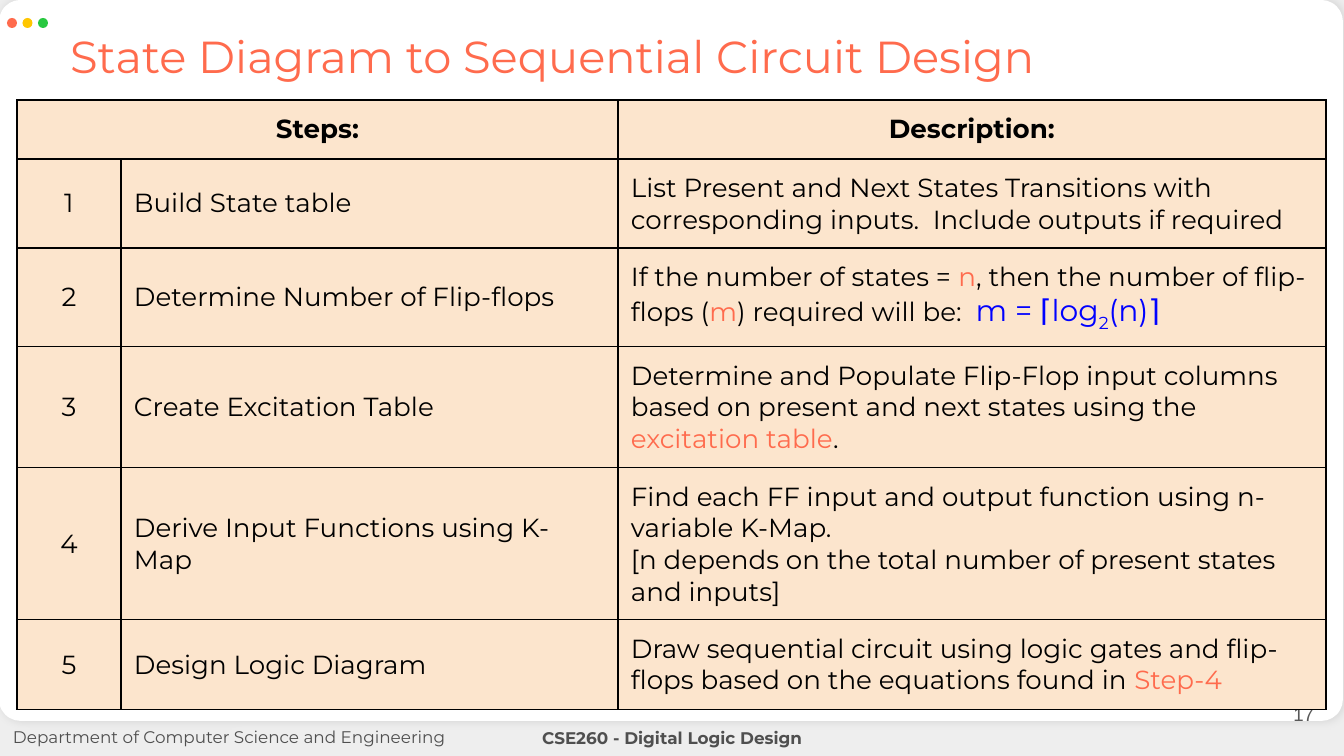
from lxml import etree
from pptx import Presentation
from pptx.dml.color import RGBColor
from pptx.enum.shapes import MSO_SHAPE
from pptx.enum.text import MSO_ANCHOR, PP_ALIGN
from pptx.oxml import parse_xml
from pptx.oxml.ns import nsdecls, qn
from pptx.util import Emu, Pt

ROUND, OVAL = MSO_SHAPE.ROUNDED_RECTANGLE, MSO_SHAPE.OVAL
TOP, MIDDLE = MSO_ANCHOR.TOP, MSO_ANCHOR.MIDDLE
LEFT, CENTER, RIGHT = PP_ALIGN.LEFT, PP_ALIGN.CENTER, PP_ALIGN.RIGHT
SCALE = 914400 / 134.4
PAD = 13
FONT = "Montserrat"
HEX = {
    "back": "EEEEEE", "card": "FFFFFF", "coral": "FF6B4D", "gold": "FFC600",
    "green": "28C840", "gray": "4F4F4F", "page": "595959", "cell": "FCE5CD",
    "black": "000000", "blue": "0000FF",
}
COLS = [104, 497, 708]
ROWS = [59, 89, 99, 121, 152, 90]
STEPS = [
    ("Build State table", [
        ("List Present and Next States Transitions with corresponding inputs.  "
         "Include outputs if required", {})]),
    ("Determine Number of Flip-flops", [
        ("If the number of states = ", {}),
        ("n", {"color": "coral"}),
        (", then the number of flip-flops (", {}),
        ("m", {"color": "coral"}),
        (") required will be:  ", {}),
        ("m = ⌈log", {"color": "blue", "size": 16}),
        ("2", {"color": "blue", "size": 16, "base": -25}),
        ("(n)⌉", {"color": "blue", "size": 16})]),
    ("Create Excitation Table", [
        ("Determine and Populate Flip-Flop input columns based on present and "
         "next states using the ", {}),
        ("excitation table", {"color": "coral"}),
        (".", {})]),
    ("Derive Input Functions using K-Map", [
        ("Find each FF input and output function using n-variable K-Map. \n"
         "[n depends on the total number of present states and inputs]", {})]),
    ("Design Logic Diagram", [
        ("Draw sequential circuit using logic gates and flip-flops based on "
         "the equations found in ", {}),
        ("Step-4", {"color": "coral"})]),
]


def px(num):
    """Turn pixels into EMU."""
    return Emu(round(num * SCALE))


def rgb(name):
    """Look up a colour by name."""
    return RGBColor.from_string(HEX[name])


def add_run(para, text, size=14, color="black", bold=False, font=FONT, base=0):
    """Add styled text to a paragraph, breaking lines at newlines."""
    for i, line in enumerate(text.split("\n")):
        if i:
            para.add_line_break()
        run = para.add_run()
        run.text = line
        run.font.name, run.font.size, run.font.bold = font, Pt(size), bold
        run.font.color.rgb = rgb(color)
        if base:
            run.font._element.set("baseline", str(base * 1000))


def add_label(slide, box, text, align=LEFT, anchor=TOP, space=1.0, **style):
    """Add a one-run text box."""
    frame = slide.shapes.add_textbox(*map(px, box)).text_frame
    frame.word_wrap, frame.vertical_anchor = True, anchor
    frame.margin_left = frame.margin_right = px(PAD)
    frame.margin_top = frame.margin_bottom = px(PAD)
    para = frame.paragraphs[0]
    para.alignment, para.line_spacing = align, space
    add_run(para, text, **style)


def add_solid(shapes, kind, box, color):
    """Add a plain filled shape without a line."""
    shape = shapes.add_shape(kind, *map(px, box))
    shape.shadow.inherit = False
    shape.fill.solid()
    shape.fill.fore_color.rgb = rgb(color)
    shape.line.fill.background()
    return shape


def add_card(slide, box):
    """Add the white page card with its soft shadow."""
    card = add_solid(slide.shapes, ROUND, box, "card")
    card.adjustments[0] = 0.03
    glow = card._element.spPr.find(qn("a:effectLst"))
    glow.append(parse_xml(
        f'<a:outerShdw {nsdecls("a")} blurRad="{Pt(4.5)}" dist="{Pt(1.5)}" dir="0">'
        f'<a:srgbClr val="{HEX["black"]}"><a:alpha val="9000"/></a:srgbClr>'
        '</a:outerShdw>'))


def add_dots(slide, box):
    """Add the row of three window dots."""
    left, top, width, size = box
    step = (width - size) / 2
    group = slide.shapes.add_group_shape()
    for i, color in enumerate(("coral", "gold", "green")):
        add_solid(group.shapes, OVAL, (left + i * step, top, size, size), color)


def add_foot(slide, box):
    """Add the department and course names."""
    left, top, width, height = box
    add_label(slide, (left, top, 745, height),
              "Department of Computer Science and Engineering", size=9, color="gray")
    add_label(slide, (left + 433, top + 1, width - 866, height - 3),
              "CSE260 - Digital Logic Design", CENTER, size=9, color="gray", bold=True)


def fill_cell(cell, runs, align=LEFT, anchor=TOP):
    """Fill, frame and write one table cell."""
    cell.fill.solid()
    cell.fill.fore_color.rgb = rgb("cell")
    cell.vertical_anchor = anchor
    cell.margin_left = cell.margin_right = px(PAD)
    cell.margin_top = cell.margin_bottom = px(PAD)
    para = cell.text_frame.paragraphs[0]
    para.alignment = align
    for text, style in runs:
        add_run(para, text, **style)
    props = cell._tc.get_or_add_tcPr()
    for i, side in enumerate(("lnL", "lnR", "lnT", "lnB")):
        line = etree.Element(qn(f"a:{side}"), w=str(Pt(0.75)))
        solid = etree.SubElement(line, qn("a:solidFill"))
        etree.SubElement(solid, qn("a:srgbClr"), val=HEX["black"])
        props.insert(i, line)


def add_steps(slide, box):
    """Add the table of design steps."""
    table = slide.shapes.add_table(len(ROWS), len(COLS), *map(px, box)).table
    table.first_row = table.horz_banding = False
    for col, width in zip(table.columns, COLS):
        col.width = px(width)
    for row, height in zip(table.rows, ROWS):
        row.height = px(height)
    table.cell(0, 0).merge(table.cell(0, 1))
    for col, head in enumerate(("Steps:", "", "Description:")):
        runs = [(head, {"bold": True})] if head else []
        fill_cell(table.cell(0, col), runs, CENTER)
    for row, (name, runs) in enumerate(STEPS, 1):
        fill_cell(table.cell(row, 0), [(str(row), {})], CENTER, MIDDLE)
        fill_cell(table.cell(row, 1), [(name, {})], LEFT, MIDDLE)
        fill_cell(table.cell(row, 2), runs)


def main():
    """Build and save the slide."""
    deck = Presentation()
    deck.slide_width, deck.slide_height = px(1344), px(756)
    slide = deck.slides.add_slide(deck.slide_layouts[6])
    slide.background.fill.solid()
    slide.background.fill.fore_color.rgb = rgb("back")
    add_card(slide, (-1, 0, 1344, 721))
    add_label(slide, (1246, 685, 81, 58), "17", RIGHT, MIDDLE,
              size=10, color="page", font="Arial")
    add_dots(slide, (7, 18, 41, 10))
    add_label(slide, (57, 8, 1203, 82), "State Diagram to Sequential Circuit Design",
              space=1.15, size=24, color="coral")
    add_foot(slide, (0, 717, 1344, 50))
    add_steps(slide, (17, 100, sum(COLS), sum(ROWS)))
    deck.save("out.pptx")


if __name__ == "__main__":
    main()
